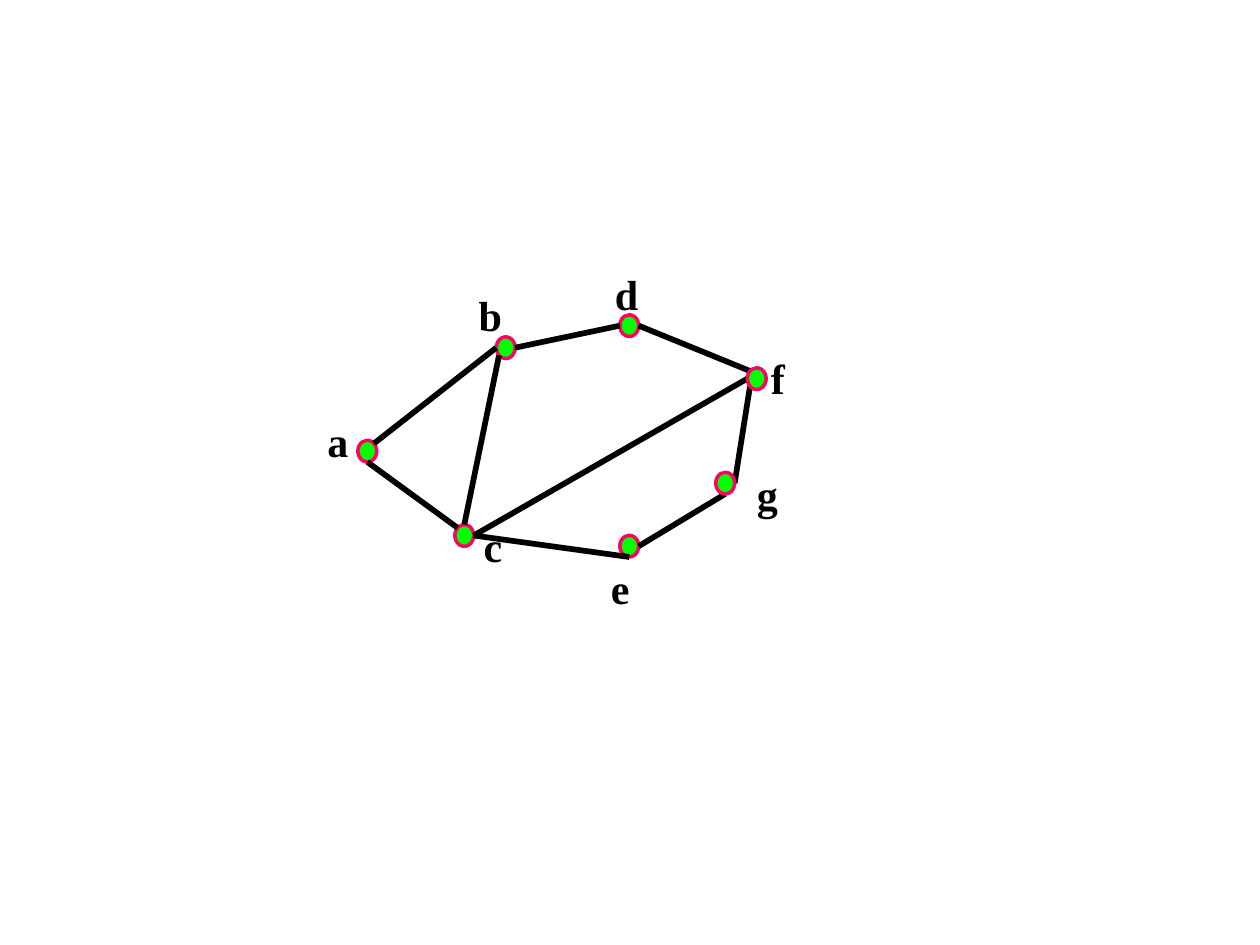
from math import sqrt

from lxml import etree
from pptx import Presentation
from pptx.dml.color import RGBColor
from pptx.enum.shapes import MSO_CONNECTOR, MSO_SHAPE
from pptx.enum.text import MSO_AUTO_SIZE
from pptx.oxml.ns import qn
from pptx.util import Pt

OVAL = MSO_SHAPE.OVAL
STRAIGHT = MSO_CONNECTOR.STRAIGHT

THEME = {
    "font": "Times New Roman",
    "label_size": 24,
    "ink": RGBColor(0x00, 0x00, 0x00),
    "node_fill": RGBColor(0x00, 0xFF, 0x00),
    "node_line": RGBColor(0xFF, 0x00, 0x66),
    "node_line_width": 2,
    "edge_width": 3.25,
}

NODE_W, NODE_H = 10.8, 12.4
LABEL_H = 36

# name: centre of the node, then left, top and width of its label
NODES = {
    "a": ((209.9, 257.8), (180, 234, 26.6)),
    "b": ((289, 198.7), (266.4, 162, 28.1)),
    "c": ((265.3, 306), (269.3, 293.8, 25.2)),
    "d": ((359.6, 186.1), (344.2, 149.8, 28.1)),
    "e": ((359.6, 312.1), (342, 318.2, 25.2)),
    "f": ((432.4, 216.4), (433.4, 198, 22.3)),
    "g": ((414.4, 276.1), (425.5, 264.2, 26.6)),
}

# node and compass side at each end
EDGES = [
    ("a", "NE", "b", "W"),
    ("a", "S", "c", "NW"),
    ("b", "E", "d", "W"),
    ("d", "E", "f", "NW"),
    ("b", "SW", "c", "N"),
    ("c", "E", "f", "W"),
    ("c", "E", "e", "S"),
    ("e", "E", "g", "S"),
    ("f", "SW", "g", "E"),
]
FRONT_NODES = "fg"  # drawn over the edges


def rim_point(name, side):
    """Point on the rim of a node in a compass direction."""
    x, y = NODES[name][0]
    dx = ("E" in side) - ("W" in side)
    dy = ("S" in side) - ("N" in side)
    reach = 1 / sqrt(len(side))
    return Pt(x + dx * reach * NODE_W / 2), Pt(y + dy * reach * NODE_H / 2)


def add_node(shapes, name):
    x, y = NODES[name][0]
    s = shapes.add_shape(OVAL, Pt(x - NODE_W / 2), Pt(y - NODE_H / 2),
                         Pt(NODE_W), Pt(NODE_H))
    s.shadow.inherit = False
    s.fill.solid()
    s.fill.fore_color.rgb = THEME["node_fill"]
    s.line.color.rgb = THEME["node_line"]
    s.line.width = Pt(THEME["node_line_width"])


def add_edge(shapes, start, start_side, end, end_side):
    line = shapes.add_connector(STRAIGHT, *rim_point(start, start_side),
                                *rim_point(end, end_side))
    line.line.color.rgb = THEME["ink"]
    line.line.width = Pt(THEME["edge_width"])
    etree.SubElement(line._element.spPr, qn("a:effectLst"))


def add_label(shapes, name):
    left, top, width = NODES[name][1]
    tf = shapes.add_textbox(Pt(left), Pt(top), Pt(width), Pt(LABEL_H)).text_frame
    tf.word_wrap = False
    tf.auto_size = MSO_AUTO_SIZE.SHAPE_TO_FIT_TEXT
    tf.text = name
    font = tf.paragraphs[0].runs[0].font
    font.name = THEME["font"]
    font.size = Pt(THEME["label_size"])
    font.bold = True
    font.color.rgb = THEME["ink"]


def main():
    prs = Presentation()
    prs.slide_width, prs.slide_height = Pt(720), Pt(540)
    shapes = prs.slides.add_slide(prs.slide_layouts[6]).shapes
    for name in NODES:
        if name not in FRONT_NODES:
            add_node(shapes, name)
    for edge in EDGES:
        add_edge(shapes, *edge)
    for name in NODES:
        add_label(shapes, name)
    for name in FRONT_NODES:
        add_node(shapes, name)
    prs.save("out.pptx")


if __name__ == "__main__":
    main()
